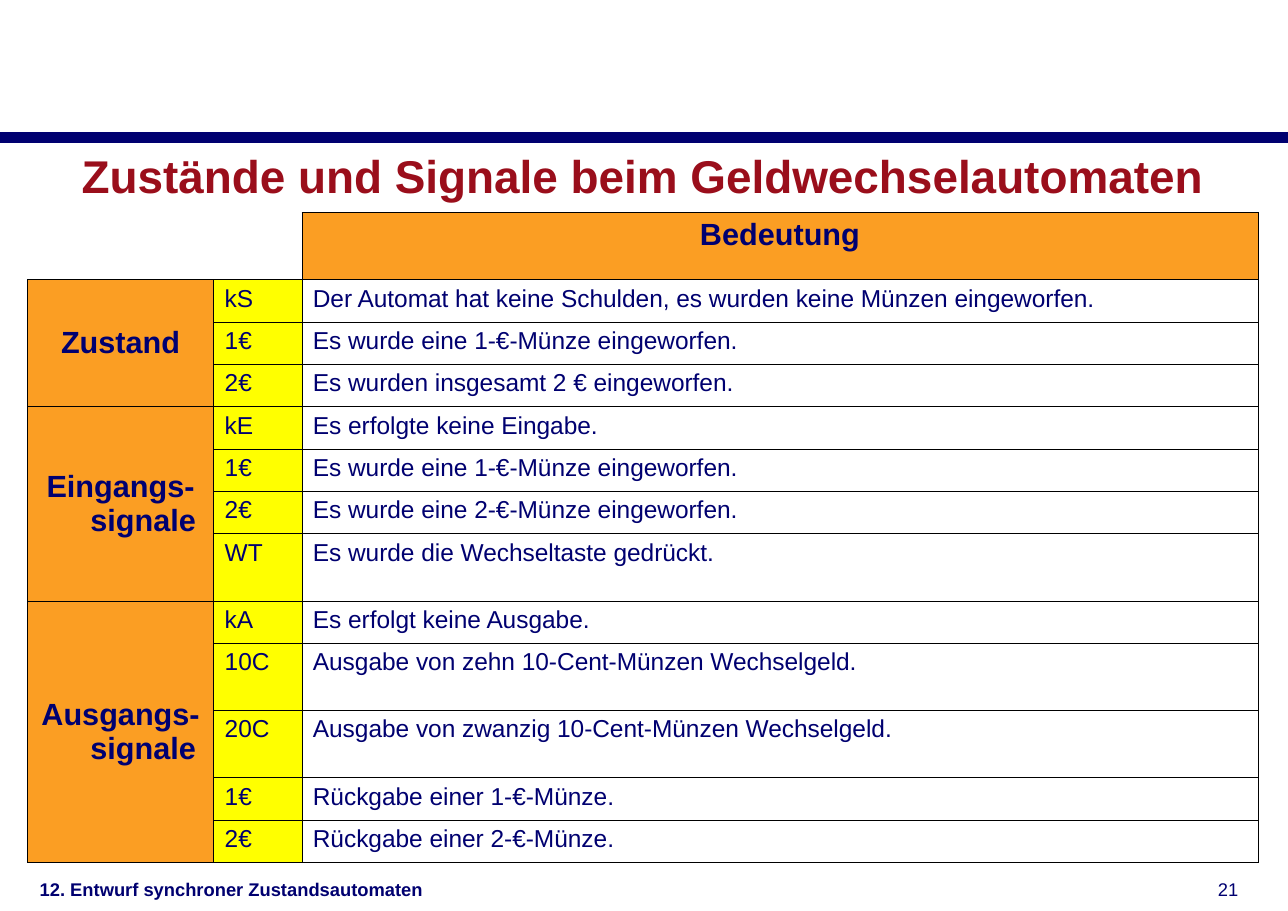
from dataclasses import dataclass

from lxml import etree
from pptx import Presentation
from pptx.dml.color import RGBColor
from pptx.enum.text import MSO_ANCHOR, PP_ALIGN
from pptx.oxml.ns import qn
from pptx.slide import Slide
from pptx.table import Table, _Cell
from pptx.text.text import _Paragraph
from pptx.util import Inches, Length, Pt

LEFT, RIGHT = PP_ALIGN.LEFT, PP_ALIGN.RIGHT
CENTER, JUSTIFY = PP_ALIGN.CENTER, PP_ALIGN.JUSTIFY
TOP, MIDDLE = MSO_ANCHOR.TOP, MSO_ANCHOR.MIDDLE

NAVY = RGBColor(0x00, 0x00, 0x70)
RED = RGBColor(0x9A, 0x0E, 0x1B)
ORANGE = RGBColor(0xFB, 0x9E, 0x23)
YELLOW = RGBColor(0xFF, 0xFF, 0x00)
BLACK = RGBColor(0x00, 0x00, 0x00)

FONT = "Arial"
COLS, ROWS = 1169, 827  # the slide as a grid of hundredths of an inch
EDGE, SPAN = 25, 1117
RULE_ROW, TABLE_ROW, FOOT_ROW = 125, 193, 792
TABLE_ROWS, HIGH_ROW = 590, 61
TABLE_COLS = (169, 80, 868)
HANG = 41
SIDES = ("L", "R", "T", "B")


@dataclass(frozen=True)
class Label:
    text: str
    col: int
    row: int
    cols: int
    rows: int
    size: int
    color: RGBColor = NAVY
    bold: bool = False
    align: PP_ALIGN = LEFT
    anchor: MSO_ANCHOR = TOP


@dataclass(frozen=True)
class Entry:
    sign: str
    meaning: str
    high: bool = False
    align: PP_ALIGN = LEFT


@dataclass(frozen=True)
class Group:
    name: str
    entries: tuple[Entry, ...]


LABELS = (
    Label("12. Entwurf synchroner Zustandsautomaten", EDGE, FOOT_ROW, 425, 35, 12, bold=True),
    Label("21", 1088, FOOT_ROW, 47, 35, 12, align=RIGHT),
    Label("Zustände und Signale beim Geldwechselautomaten", EDGE, RULE_ROW, SPAN, 68, 30,
          RED, True, CENTER, MIDDLE),
)

GROUPS = (
    Group("Zustand", (
        Entry("kS", "Der Automat hat keine Schulden, es wurden keine Münzen eingeworfen."),
        Entry("1€", "Es wurde eine 1-€-Münze eingeworfen."),
        Entry("2€", "Es wurden insgesamt 2 € eingeworfen."),
    )),
    Group("Eingangs-signale", (
        Entry("kE", "Es erfolgte keine Eingabe."),
        Entry("1€", "Es wurde eine 1-€-Münze eingeworfen."),
        Entry("2€", "Es wurde eine 2-€-Münze eingeworfen."),
        Entry("WT", "Es wurde die Wechseltaste gedrückt.", high=True),
    )),
    Group("Ausgangs-signale", (
        Entry("kA", "Es erfolgt keine Ausgabe."),
        Entry("10C", "Ausgabe von zehn 10-Cent-Münzen Wechselgeld.", high=True),
        Entry("20C", "Ausgabe von zwanzig 10-Cent-Münzen Wechselgeld.", True, JUSTIFY),
        Entry("1€", "Rückgabe einer 1-€-Münze.", align=JUSTIFY),
        Entry("2€", "Rückgabe einer 2-€-Münze.", align=JUSTIFY),
    )),
)


def grid(count: float) -> Length:
    """Turn a count of grid columns or rows into a length."""
    return Inches(count / 100)


def style(par: _Paragraph, size: int, color: RGBColor, bold: bool, align: PP_ALIGN) -> None:
    par.alignment = align
    for run in par.runs:
        run.font.name = FONT
        run.font.size = Pt(size)
        run.font.bold = bold
        run.font.color.rgb = color


def add_label(slide: Slide, label: Label) -> None:
    box = slide.shapes.add_textbox(grid(label.col), grid(label.row),
                                   grid(label.cols), grid(label.rows))
    frame = box.text_frame
    frame.word_wrap = True
    frame.vertical_anchor = label.anchor
    frame.margin_left = frame.margin_right = grid(11)
    frame.margin_top = frame.margin_bottom = grid(5)
    frame.text = label.text
    style(frame.paragraphs[0], label.size, label.color, label.bold, label.align)


def add_rule(slide: Slide) -> None:
    rule = slide.shapes.add_connector(1, 0, grid(RULE_ROW), grid(COLS), grid(RULE_ROW))
    rule.line.color.rgb = NAVY
    rule.line.width = Pt(7.09)
    etree.SubElement(rule._element.spPr, qn("a:effectLst"))


def frame_cell(cell: _Cell, sides: tuple[str, ...] = SIDES) -> None:
    """Draw the given sides of a cell and hide the others."""
    props = cell._tc.get_or_add_tcPr()
    for place, side in enumerate(SIDES):
        line = etree.Element(qn(f"a:ln{side}"), w=str(Pt(0.45)))
        if side in sides:
            fill = etree.SubElement(line, qn("a:solidFill"))
            etree.SubElement(fill, qn("a:srgbClr"), val=str(BLACK))
        else:
            etree.SubElement(line, qn("a:noFill"))
        props.insert(place, line)


def fill_cell(cell: _Cell, text: str, size: int, bold: bool, align: PP_ALIGN,
              anchor: MSO_ANCHOR = TOP) -> None:
    cell.vertical_anchor = anchor
    cell.margin_left = cell.margin_right = grid(10)
    cell.margin_top = cell.margin_bottom = grid(5)
    cell.text_frame.text = text
    par = cell.text_frame.paragraphs[0]
    style(par, size, NAVY, bold, align)
    props = par._p.get_or_add_pPr()
    props.set("marL", str(grid(HANG)))
    props.set("indent", str(-grid(HANG)))


def paint(cell: _Cell, color: RGBColor | None) -> None:
    if color is None:
        cell.fill.background()
    else:
        cell.fill.solid()
        cell.fill.fore_color.rgb = color


def size_grid(table: Table, highs: list[bool]) -> None:
    """Give high rows their fixed height and share the rest evenly."""
    low = (TABLE_ROWS - HIGH_ROW * sum(highs)) / highs.count(False)
    for row, high in zip(table.rows, highs):
        row.height = grid(HIGH_ROW if high else low)
    for column, width in zip(table.columns, TABLE_COLS):
        column.width = grid(width)


def add_table(slide: Slide) -> None:
    highs = [True] + [entry.high for group in GROUPS for entry in group.entries]
    table = slide.shapes.add_table(len(highs), len(TABLE_COLS), grid(EDGE), grid(TABLE_ROW),
                                   grid(SPAN), grid(TABLE_ROWS)).table
    table.first_row = table.horz_banding = False
    size_grid(table, highs)

    for row in range(len(highs)):
        for col, color in enumerate((ORANGE, YELLOW, None)):
            cell = table.cell(row, col)
            corner = row == 0 and col < 2
            cell.margin_top = cell.margin_bottom = 0
            if row == 0:
                color = None if corner else ORANGE
            paint(cell, color)
            frame_cell(cell, ("R", "B") if corner else SIDES)

    table.cell(0, 0).merge(table.cell(0, 1))
    fill_cell(table.cell(0, 2), "Bedeutung", 20, True, CENTER)
    row = 1
    for group in GROUPS:
        head = table.cell(row, 0)
        head.merge(table.cell(row + len(group.entries) - 1, 0))
        fill_cell(head, group.name, 20, True, CENTER, MIDDLE)
        for entry in group.entries:
            fill_cell(table.cell(row, 1), entry.sign, 16, False, JUSTIFY)
            fill_cell(table.cell(row, 2), entry.meaning, 16, False, entry.align)
            row += 1


def main() -> None:
    deck = Presentation()
    deck.slide_width, deck.slide_height = grid(COLS), grid(ROWS)
    slide = deck.slides.add_slide(deck.slide_layouts[6])
    add_rule(slide)
    for label in LABELS:
        add_label(slide, label)
    add_table(slide)
    deck.save("out.pptx")


if __name__ == "__main__":
    main()
